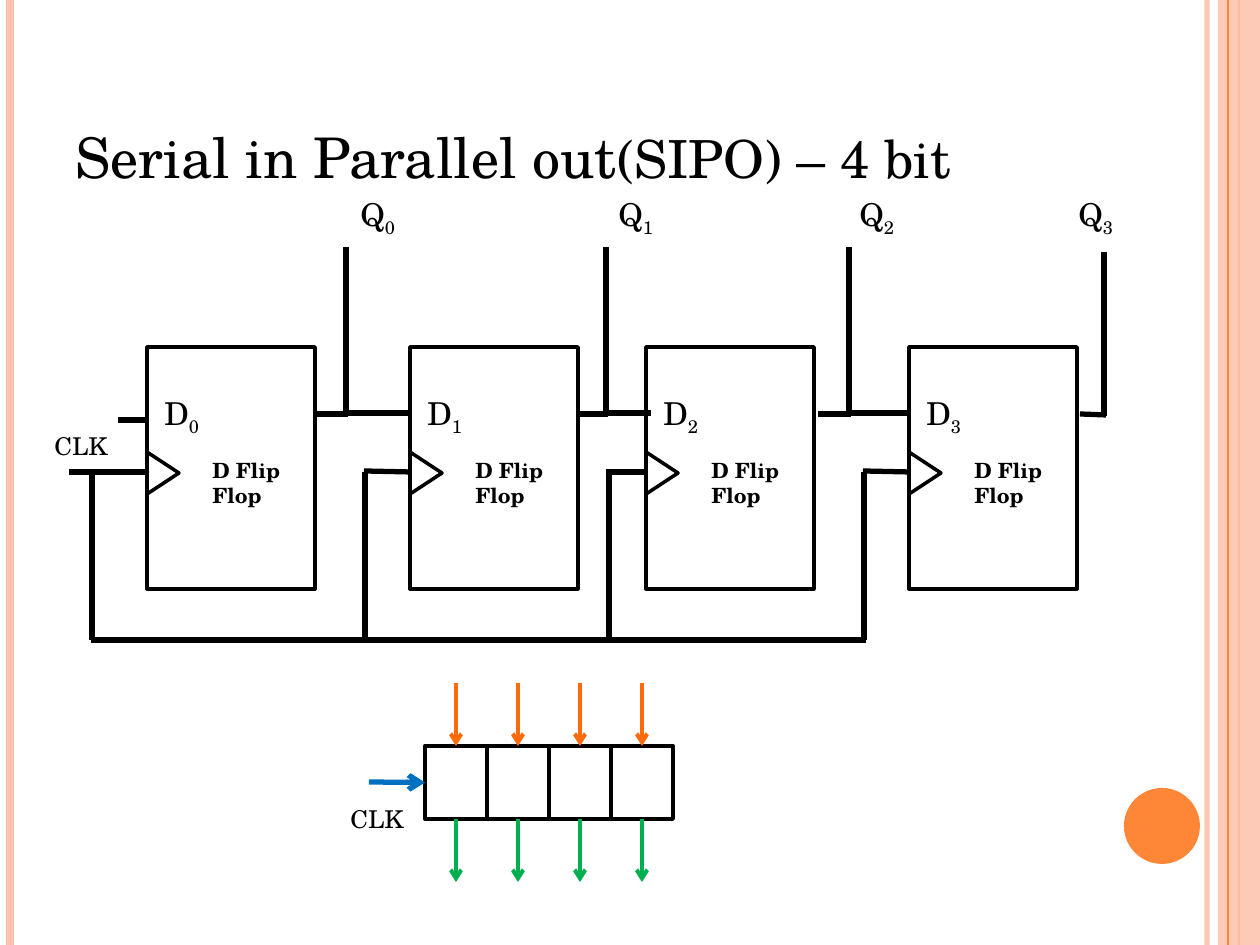
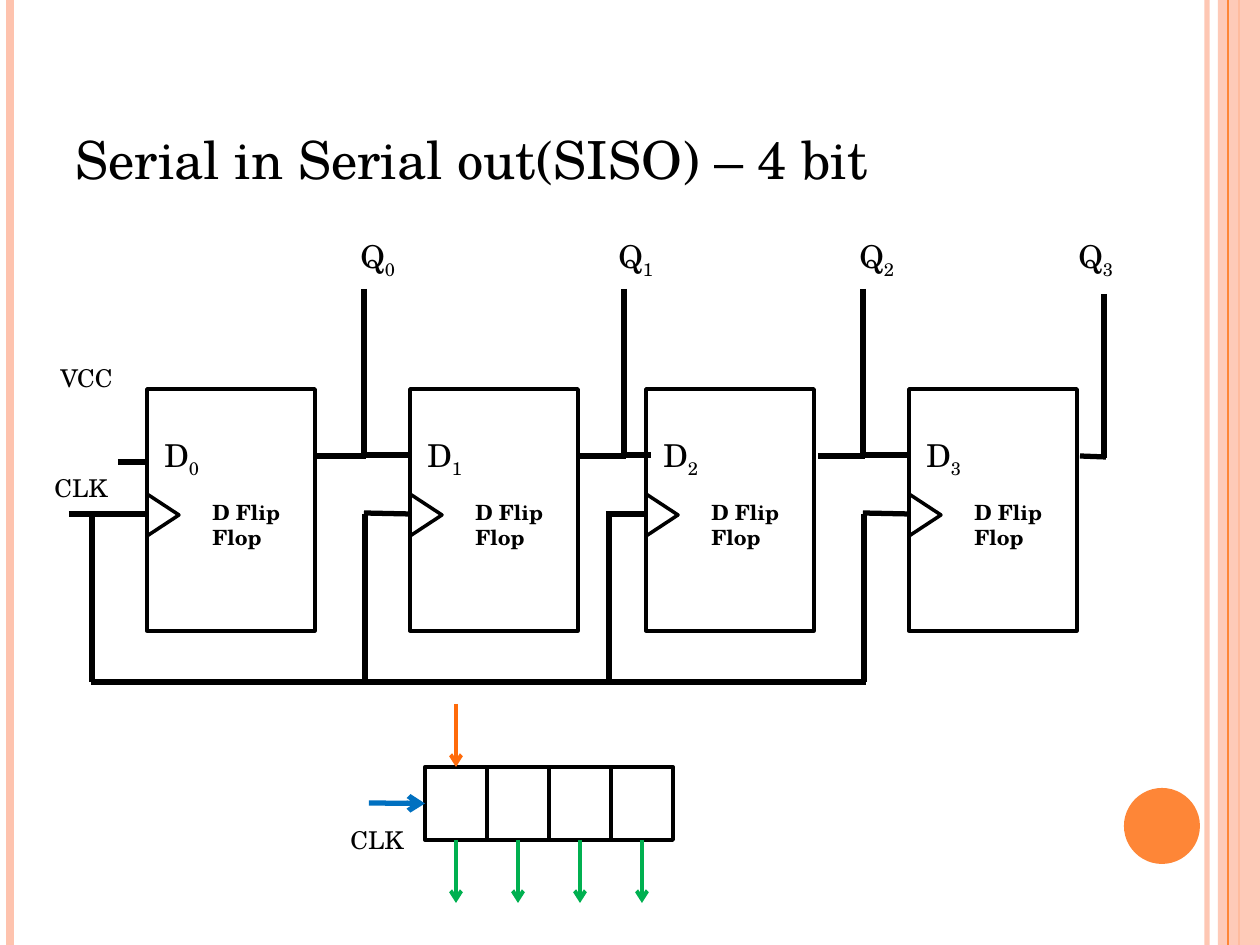
from lxml import etree
from pptx import Presentation
from pptx.dml.color import RGBColor
from pptx.enum.shapes import MSO_CONNECTOR, MSO_SHAPE
from pptx.enum.text import MSO_ANCHOR, MSO_AUTO_SIZE, PP_ALIGN
from pptx.oxml.ns import qn
from pptx.util import Pt

STRAIGHT = MSO_CONNECTOR.STRAIGHT
RECT, OVAL, TRIANGLE = MSO_SHAPE.RECTANGLE, MSO_SHAPE.OVAL, MSO_SHAPE.ISOSCELES_TRIANGLE
BOTTOM, LEFT = MSO_ANCHOR.BOTTOM, PP_ALIGN.LEFT
GROW, NO_FIT = MSO_AUTO_SIZE.SHAPE_TO_FIT_TEXT, MSO_AUTO_SIZE.NONE
TITLE_ONLY = 5
SITE_TOP, SITE_LEFT, SITE_BOTTOM = 0, 1, 2

PX_PER_INCH = 126
WIDTH, HEIGHT = 1260, 945
FONT = "TeX Gyre Schola"
BLACK, ORANGE, PEACH = "000000", "FE8637", "FEC3AE"
DATA_IN, DATA_OUT, CLOCK = "FF6B0A", "00B050", "0070C0"

BOX_LEFTS = (147, 410, 646, 909)
BOX_TOP, BOX_W, BOX_H = 347, 168, 242
D_WIDTHS = (79, 63, 79, 63)
Q_LEFTS = (348, 606, 847, 1066)
OUTPUT_STARTS = (317, 577, 818)
INPUT_ENDS = (410, 651, 909)
LAST_TAP = 1104
CLOCK_STARTS = ((69, 472), (364, 471), (606, 472), (863, 471))
RISERS = (92, 365, 609, 864)
BUS_Y = 640
CELL_LEFT, CELL_W, CELL_H, ARROW = 425, 62, 73, 63


def px(n):
    return round(n * 914400 / PX_PER_INCH)


def rgb(hex_color):
    return RGBColor.from_string(hex_color)


def set_alpha(sp, percent):
    color = sp.element.spPr.find(".//" + qn("a:srgbClr"))
    etree.SubElement(color, qn("a:alpha")).set("val", str(percent * 1000))


class Deck:
    def __init__(self):
        self.prs = Presentation()
        self.prs.slide_width, self.prs.slide_height = px(WIDTH), px(HEIGHT)
        self.s = None

    def add_run(self, p, text, size, bold=False, subscript=False):
        r = p.add_run()
        r.text = text
        r.font.name, r.font.size, r.font.bold = FONT, Pt(size), bold
        r.font.color.rgb = rgb(BLACK)
        if subscript:
            r.font._element.set("baseline", "-25000")

    def slide(self, title_runs):
        self.s = self.prs.slides.add_slide(self.prs.slide_layouts[TITLE_ONLY])
        sp = self.s.shapes.title
        sp.left, sp.top, sp.width, sp.height = px(63), px(38), px(1029), px(158)
        tf = sp.text_frame
        tf.vertical_anchor, tf.auto_size, tf.word_wrap = BOTTOM, NO_FIT, True
        p = tf.paragraphs[0]
        p.alignment = LEFT
        for text, size in title_runs:
            self.add_run(p, text, size)

    def shape(self, kind, x, y, w, h, fill=None, line=None, rotation=0):
        sp = self.s.shapes.add_shape(kind, px(x), px(y), px(w), px(h))
        sp.shadow.inherit = False
        sp.rotation = rotation
        if fill:
            sp.fill.solid()
            sp.fill.fore_color.rgb = rgb(fill)
        else:
            sp.fill.background()
        if line:
            sp.line.color.rgb = rgb(BLACK)
            sp.line.width = Pt(line)
        else:
            sp.line.fill.background()
        return sp

    def line(self, x1, y1, x2, y2, color=BLACK, width=3, arrow=False):
        sp = self.s.shapes.add_connector(STRAIGHT, px(x1), px(y1), px(x2), px(y2))
        sp.line.color.rgb = rgb(color)
        sp.line.width = Pt(width)
        spPr = sp.element.spPr
        if arrow:
            etree.SubElement(spPr.find(qn("a:ln")), qn("a:tailEnd")).set("type", "arrow")
        etree.SubElement(spPr, qn("a:effectLst"))
        return sp

    def label(self, x, y, w, h, text, size, sub="", bold=False):
        tf = self.s.shapes.add_textbox(px(x), px(y), px(w), px(h)).text_frame
        tf.word_wrap, tf.auto_size = True, GROW
        p = tf.paragraphs[0]
        self.add_run(p, text, size, bold)
        if sub:
            self.add_run(p, sub, size, subscript=True)

    def master_bands(self):
        """Draw the side bands and disc, then move them to the slide master."""
        set_alpha(self.line(1207, 0, 1207, HEIGHT, PEACH), 93)
        self.line(10, 0, 10, HEIGHT, PEACH, 4.5)
        self.line(1239, 0, 1239, HEIGHT, ORANGE, 1.5)
        set_alpha(self.shape(RECT, 1218, 0, 42, HEIGHT, PEACH), 87)
        self.line(1228, 0, 1228, HEIGHT, ORANGE, 0.75)
        self.shape(OVAL, 1124, 788, 76, 76, ORANGE)
        tree = self.prs.slide_master.shapes.element
        bands = [sp for sp in self.s.shapes if not sp.is_placeholder]
        for number, sp in enumerate(bands, 101):
            sp.element.find(".//" + qn("p:cNvPr")).set("id", str(number))
            tree.append(sp.element)

    def flip_flop(self, i, dy):
        x, top = BOX_LEFTS[i], BOX_TOP + dy
        self.shape(RECT, x, top, BOX_W, BOX_H, line=2)
        self.shape(TRIANGLE, x - 5, top + 110, 42, 32, line=2, rotation=90)
        self.label(x + 5, top + 41, D_WIDTHS[i], 50, "D", 18, sub=str(i))
        self.label(x + 53, top + 104, 116, 63, "D Flip Flop", 12, bold=True)
        self.label(Q_LEFTS[i], 189 + dy, 78, 50, "Q", 18, sub=str(i))

    def circuit(self, taps, dy):
        """Four chained flip-flops; taps are the x of the Q0 to Q2 wires."""
        for i in range(len(BOX_LEFTS)):
            self.flip_flop(i, dy)
        self.label(42, 425 + dy, 97, 43, "CLK", 14)
        self.line(118, 420 + dy, 146, 420 + dy)
        for start, tap, end in zip(OUTPUT_STARTS, taps, INPUT_ENDS):
            self.line(start, 414 + dy, tap + 2, 414 + dy)
            self.line(tap - 2, 413 + dy, end, 413 + dy)
            self.line(tap, 247 + dy, tap, 411 + dy)
        self.line(1080, 414 + dy, LAST_TAP + 2, 415 + dy)
        self.line(LAST_TAP, 252 + dy, LAST_TAP, 416 + dy)
        for (x, y), box, riser in zip(CLOCK_STARTS, BOX_LEFTS, RISERS):
            self.line(x, y + dy, box, 472 + dy)
            self.line(riser, 472 + dy, riser, BUS_Y + dy)
        for x1, x2 in zip(RISERS, RISERS[1:]):
            self.line(x1 - 1, BUS_Y + dy, x2 + 2, BUS_Y + dy)

    def register(self, top, inputs):
        """Block symbol with the given number of data inputs."""
        bottom, middle = top + CELL_H, top + CELL_H // 2
        cells = [self.shape(RECT, CELL_LEFT + i * CELL_W, top, CELL_W, CELL_H, line=2.25)
                 for i in range(4)]
        for i, cell in enumerate(cells):
            x = CELL_LEFT + i * CELL_W + CELL_W // 2
            if i < inputs:
                data_in = self.line(x, top - ARROW, x, top, DATA_IN, 2.25, True)
                data_in.end_connect(cell, SITE_TOP)
            data_out = self.line(x, bottom, x, bottom + ARROW, DATA_OUT, 2.25, True)
            data_out.begin_connect(cell, SITE_BOTTOM)
        clock = self.line(369, middle, CELL_LEFT, middle, CLOCK, 3, True)
        clock.end_connect(cells[0], SITE_LEFT)
        self.label(338, top + 52, 82, 43, "CLK", 14)


def main():
    deck = Deck()
    deck.slide([("Serial in Parallel out", 32), ("(SIPO) – 4 bit", 30)])
    deck.master_bands()
    deck.circuit(taps=(346, 606, 849), dy=0)
    deck.register(top=746, inputs=4)

    deck.slide([("Serial in Serial out(SISO) – 4 bit", 30)])
    deck.circuit(taps=(364, 624, 863), dy=42)
    deck.label(48, 357, 84, 43, "VCC", 14)
    deck.register(top=767, inputs=1)
    deck.prs.save("out.pptx")


if __name__ == "__main__":
    main()
